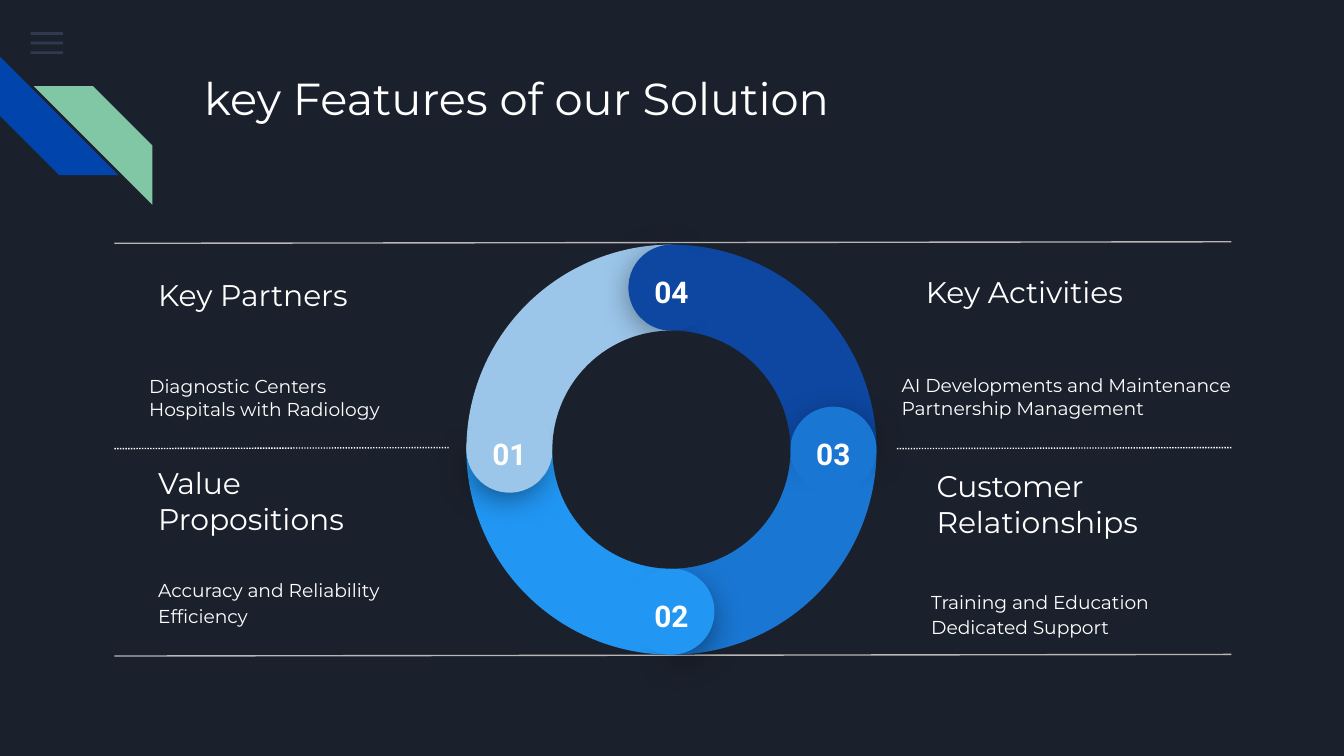
from math import cos, radians, sin

from lxml.etree import SubElement
from pptx import Presentation
from pptx.dml.color import RGBColor
from pptx.enum.dml import MSO_LINE
from pptx.enum.shapes import MSO_CONNECTOR, MSO_SHAPE
from pptx.enum.text import MSO_ANCHOR, PP_ALIGN
from pptx.oxml.ns import qn
from pptx.util import Cm, Pt

COLORS = {
    "background": "1B212C", "white": "FFFFFF", "rule": "B7B7B7", "menu": "55688B",
    "blue_stripe": "0145AC", "green_stripe": "82C7A5",
    "01": "9BC5E9", "02": "2196F3", "03": "1976D2", "04": "0D47A1",
}
TITLE = "key Features of our Solution"
HEADINGS = [
    ("Key Partners", 2.74, 4.95, 5.16, 1.24),
    ("Value Propositions", 2.74, 8.84, 5.16, 1.24),
    ("Key Activities", 17.25, 4.9, 6.7, 1.24),
    ("Customer Relationships", 17.45, 8.56, 5.16, 1.93),
]
DETAILS = [
    (["Diagnostic Centers Hospitals with Radiology"], 2.57, 6.55, 5.54, 1.93, 1),
    (["Accuracy and Reliability Efficiency"], 2.74, 10.41, 5.54, 1.93, 1.15),
    (["AI Developments and Maintenance", "Partnership Management"], 16.79, 6.81, 7.98, 1.37, 1),
    (["Training and Education Dedicated Support"], 17.35, 10.9, 5.54, 1.37, 1.15),
]
RULES = [
    (23.27, 4.57, 2.16, 4.6, "rule", None),
    (8.48, 8.46, 2.16, 8.48, "white", MSO_LINE.ROUND_DOT),
    (23.27, 8.46, 16.94, 8.48, "white", MSO_LINE.ROUND_DOT),
    (23.27, 12.37, 2.16, 12.4, "rule", None),
]
STEPS = ["01", "02", "03", "04"]
CENTER_X, CENTER_Y = 12.69, 8.5
RING, HOLE = 7.75, 4.5
CAP_SHADE, CAP = 1.45, 1.63
SHADE_RADIUS, CAP_RADIUS = 3.11, 3.06


def color(name):
    return RGBColor.from_string(COLORS[name])


def add_block(kind, left, top, width, height, fill, rotation=0, adjustments=()):
    block = slide.shapes.add_shape(kind, Cm(left), Cm(top), Cm(width), Cm(height))
    block.shadow.inherit = False
    block.fill.solid()
    block.fill.fore_color.rgb = color(fill)
    block.line.fill.background()
    block.rotation = rotation % 360
    for index, value in enumerate(adjustments):
        block.adjustments[index] = value
    return block


def add_round(kind, x, y, size, fill, rotation=0, adjustments=()):
    return add_block(kind, x - size / 2, y - size / 2, size, size, fill, rotation, adjustments)


def add_shadow(block):
    effects = block.element.spPr.find(qn("a:effectLst"))
    shadow = SubElement(effects, qn("a:outerShdw"), blurRad=str(Pt(18)), dist=str(Pt(4)),
                        dir="5400000", algn="bl", rotWithShape="0")
    black = SubElement(shadow, qn("a:srgbClr"), val="000000")
    SubElement(black, qn("a:alpha"), val="55000")


def write(box, lines, size, font="Montserrat", anchor=MSO_ANCHOR.MIDDLE,
          align=PP_ALIGN.LEFT, spacing=1, bold=False):
    frame = box.text_frame
    frame.word_wrap = True
    frame.vertical_anchor = anchor
    frame.margin_left = frame.margin_right = frame.margin_top = frame.margin_bottom = Cm(0.25)
    frame.text = "\n".join(lines)
    for paragraph in frame.paragraphs:
        paragraph.alignment = align
        paragraph.line_spacing = spacing
        paragraph.font.name = font
        paragraph.font.size = Pt(size)
        paragraph.font.bold = bold
        paragraph.font.color.rgb = color("white")


def add_text(lines, left, top, width, height, size, **style):
    box = slide.shapes.add_textbox(Cm(left), Cm(top), Cm(width), Cm(height))
    write(box, lines, size, **style)


deck = Presentation()
deck.slide_width, deck.slide_height = Cm(25.4), Cm(14.29)
slide = deck.slides.add_slide(deck.slide_layouts[5])
slide.background.fill.solid()
slide.background.fill.fore_color.rgb = color("background")

for row in range(3):
    bar = add_block(MSO_SHAPE.RECTANGLE, 0.58, 0.61 + 0.18 * row, 0.61, 0.05, "menu")
    tint = bar.element.spPr.find(qn("a:solidFill")).find(qn("a:srgbClr"))
    SubElement(tint, qn("a:alpha"), val="36000")

add_block(MSO_SHAPE.DIAGONAL_STRIPE, 0, 1.07, 2.24, 2.24, "blue_stripe", 270, [0.5])
add_block(MSO_SHAPE.DIAGONAL_STRIPE, 0.64, 1.63, 2.24, 2.24, "green_stripe", 90, [0.5])

title = slide.shapes.title
title.left, title.top, title.width, title.height = Cm(3.61), Cm(1.09), Cm(19.56), Cm(2.54)
write(title, [TITLE], 24, anchor=MSO_ANCHOR.TOP)

for heading, *place in HEADINGS:
    add_text([heading], *place, 16)
for lines, *place, spacing in DETAILS:
    add_text(lines, *place, 10, spacing=spacing)

for x1, y1, x2, y2, stroke, dash in RULES:
    rule = slide.shapes.add_connector(MSO_CONNECTOR.STRAIGHT, Cm(x1), Cm(y1), Cm(x2), Cm(y2))
    rule.line.color.rgb = color(stroke)
    rule.line.width = Pt(0.75)
    if dash:
        rule.line.dash_style = dash
    SubElement(rule.element.spPr, qn("a:effectLst"))

for index, step in enumerate(STEPS):
    add_round(MSO_SHAPE.PIE, CENTER_X, CENTER_Y, RING, step, -90 * index, [107.96, 162.01])

for index, step in enumerate(STEPS):
    turn = -90 * index
    angle = radians(180 + turn)
    across, down = cos(angle), sin(angle)
    shade = add_round(MSO_SHAPE.PIE, CENTER_X + SHADE_RADIUS * across,
                      CENTER_Y + SHADE_RADIUS * down, CAP_SHADE, step, 39.5 + turn,
                      [189.54, 83.81])
    add_shadow(shade)
    x, y = CENTER_X + CAP_RADIUS * across, CENTER_Y + CAP_RADIUS * down
    add_round(MSO_SHAPE.CHORD, x, y, CAP, step, 4.1 + turn, [25.01, 18.12])
    add_text([step], x - 0.71, y - 0.52, 1.42, 0.74, 16, font="Roboto",
             anchor=MSO_ANCHOR.TOP, align=PP_ALIGN.CENTER, bold=True)

add_round(MSO_SHAPE.OVAL, CENTER_X, CENTER_Y, HOLE, "background")

deck.save("out.pptx")
